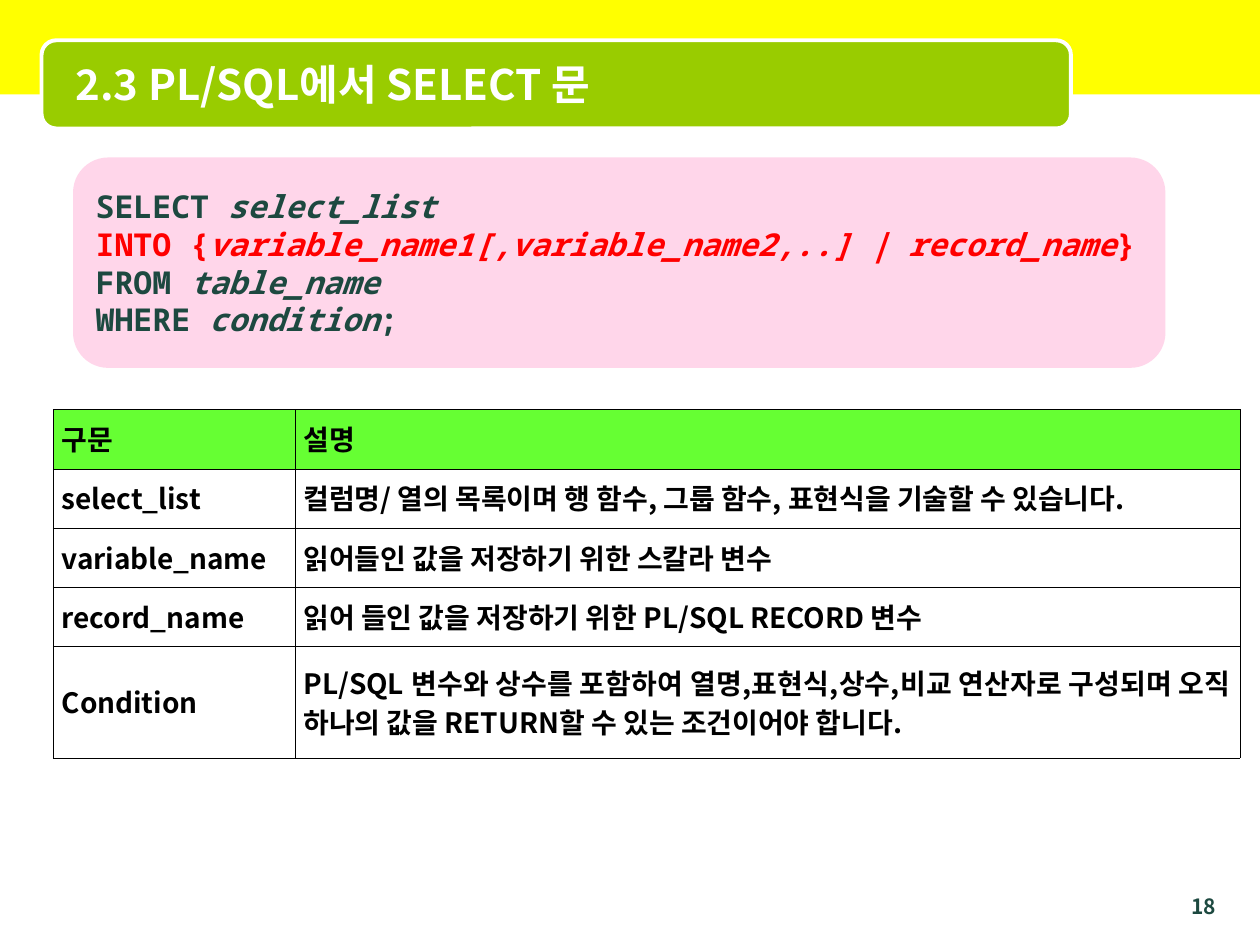
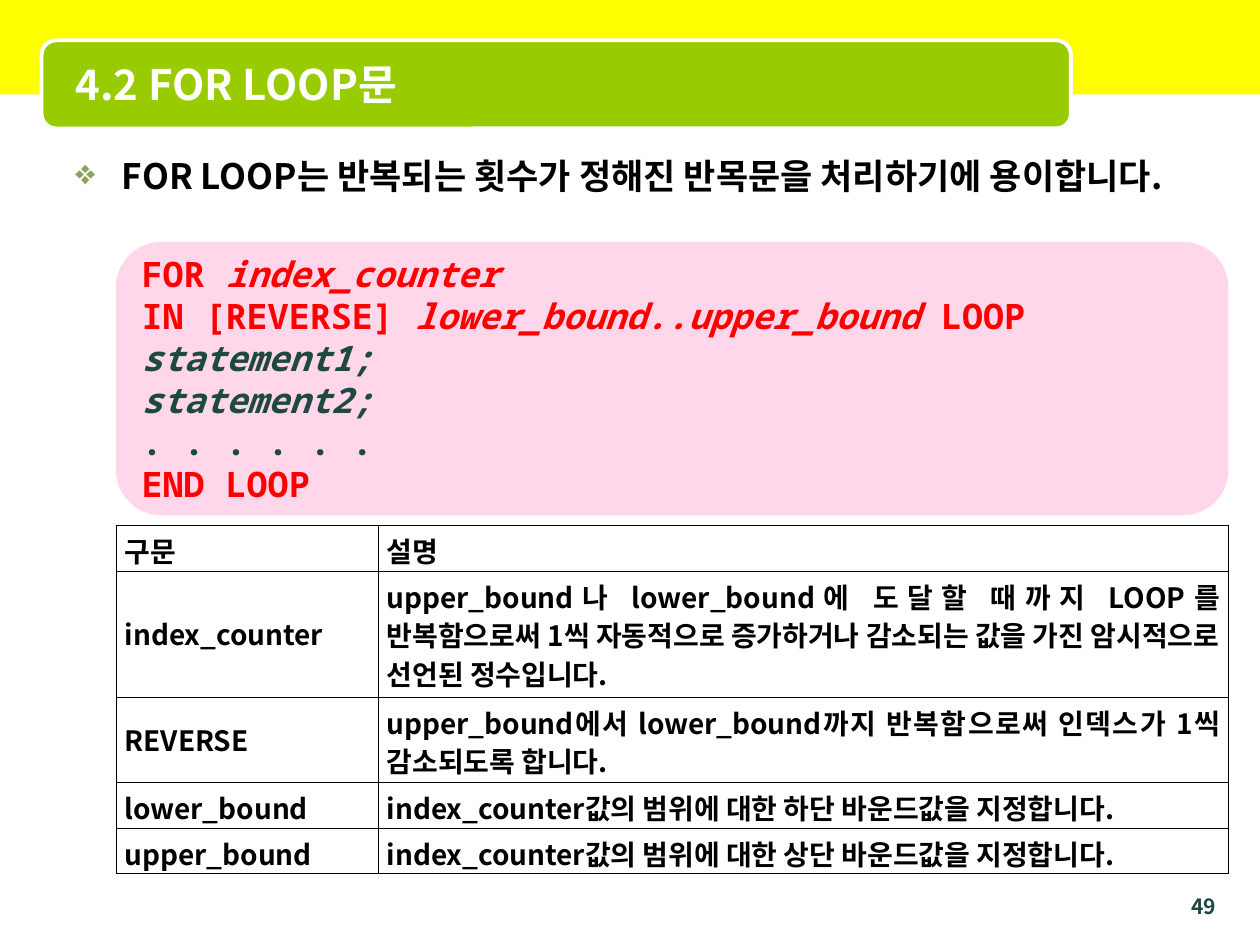
"""Build two lecture slides on PL/SQL: the SELECT statement and the FOR LOOP statement."""
from lxml.etree import SubElement
from pptx import Presentation
from pptx.dml.color import RGBColor
from pptx.enum.shapes import MSO_SHAPE
from pptx.enum.text import MSO_ANCHOR, PP_ALIGN
from pptx.oxml.ns import qn
from pptx.util import Inches, Pt

YELLOW = RGBColor(0xFF, 0xFF, 0x00)
GREEN = RGBColor(0x99, 0xCC, 0x00)
HEADER_GREEN = RGBColor(0x66, 0xFF, 0x33)
PINK = RGBColor(0xFF, 0x99, 0xCC)
DARK_GREEN = RGBColor(0x1D, 0x49, 0x40)
BULLET_GREEN = RGBColor(0x8C, 0xA3, 0x5F)
RED = RGBColor(0xFF, 0x00, 0x00)
WHITE = RGBColor(0xFF, 0xFF, 0xFF)
BLACK = RGBColor(0x00, 0x00, 0x00)
BODY_FONT = "Noto Sans CJK KR"
CODE_FONT = "Noto Sans Mono"

# Each code line is a colour, then pieces that alternate upright and italic.
SLIDES = [
    {
        "title": "2.3 PL/SQL에서 SELECT 문",
        "number": "18",
        "bullet": None,
        "code_box": (0.58, 1.25, 8.67, 1.67),
        "code_size": 18,
        "code": [
            (DARK_GREEN, "SELECT ", "select_list"),
            (RED, "INTO {", "variable_name1[,variable_name2,..] | record_name", "}"),
            (DARK_GREEN, "FROM ", "table_name"),
            (DARK_GREEN, "WHERE ", "condition", ";"),
        ],
        "table_at": (0.42, 3.25),
        "columns": [1.92, 7.5],
        "row_heights": [0.47, 0.47, 0.47, 0.47, 0.89],
        "header_fill": HEADER_GREEN,
        "rows": [
            ("구문", "설명"),
            ("select_list", "컬럼명/ 열의 목록이며 행 함수, 그룹 함수, 표현식을 기술할 수 있습니다."),
            ("variable_name", "읽어들인 값을 저장하기 위한 스칼라 변수"),
            ("record_name", "읽어 들인 값을 저장하기 위한 PL/SQL RECORD 변수"),
            ("Condition", "PL/SQL 변수와 상수를 포함하여 열명,표현식,상수,비교 연산자로 구성되며 "
                          "오직 하나의 값을 RETURN할 수 있는 조건이어야 합니다."),
        ],
    },
    {
        "title": "4.2 FOR LOOP문",
        "number": "49",
        "bullet": "FOR LOOP는 반복되는 횟수가 정해진 반목문을 처리하기에 용이합니다.",
        "code_box": (0.92, 1.92, 8.83, 2.17),
        "code_size": 20,
        "code": [
            (RED, "FOR ", "index_counter"),
            (RED, "IN [REVERSE] ", "lower_bound..upper_bound", " LOOP"),
            (DARK_GREEN, "", "statement1;"),
            (DARK_GREEN, "", "statement2;"),
            (DARK_GREEN, ". . . . . ."),
            (RED, "END LOOP"),
        ],
        "table_at": (0.92, 4.17),
        "columns": [2.08, 6.75],
        "row_heights": [0.36, 1, 0.68, 0.36, 0.36],
        "header_fill": None,
        "rows": [
            ("구문", "설명"),
            ("index_counter", "upper_bound나 lower_bound에 도달할 때까지 LOOP를 반복함으로써 1씩 "
                              "자동적으로 증가하거나 감소되는 값을 가진 암시적으로 선언된 정수입니다."),
            ("REVERSE", "upper_bound에서 lower_bound까지 반복함으로써 인덱스가 1씩 감소되도록 합니다."),
            ("lower_bound", "index_counter값의 범위에 대한 하단 바운드값을 지정합니다."),
            ("upper_bound", "index_counter값의 범위에 대한 상단 바운드값을 지정합니다."),
        ],
    },
]


def format_run(run, size, color, font=BODY_FONT, italic=False):
    run.font.size = Pt(size)
    run.font.name = font
    run.font.bold = True
    run.font.italic = italic
    run.font.color.rgb = color
    SubElement(run._r.get_or_add_rPr(), qn("a:ea"), typeface=font)


def add_box(slide, preset, box, color):
    shape = slide.shapes.add_shape(preset, *map(Inches, box))
    shape.shadow.inherit = False
    shape.fill.solid()
    shape.fill.fore_color.rgb = color
    shape.line.fill.background()
    return shape


def add_text(slide, box, text, size, color, anchor=MSO_ANCHOR.TOP, align=PP_ALIGN.LEFT):
    text_frame = slide.shapes.add_textbox(*map(Inches, box)).text_frame
    text_frame.word_wrap = True
    text_frame.vertical_anchor = anchor
    text_frame.text = text
    paragraph = text_frame.paragraphs[0]
    paragraph.alignment = align
    format_run(paragraph.runs[0], size, color)
    return paragraph


def add_frame(slide, title, number):
    add_box(slide, MSO_SHAPE.RECTANGLE, (0, 0, 10, 0.75), YELLOW)
    banner = add_box(slide, MSO_SHAPE.ROUNDED_RECTANGLE, (0.33, 0.32, 8.17, 0.7), GREEN)
    banner.line.color.rgb = WHITE
    banner.line.width = Pt(2.25)
    add_text(slide, (9.25, 7.04, 0.5, 0.21), number, 12, DARK_GREEN, align=PP_ALIGN.RIGHT)
    add_text(slide, (0.5, 0.35, 7.92, 0.62), title, 24, WHITE, MSO_ANCHOR.MIDDLE)


def add_bullet(slide, text):
    paragraph = add_text(slide, (0.5, 1.18, 9.5, 6.14), text, 20, BLACK)
    properties = paragraph._p.get_or_add_pPr()
    indent = Inches(0.37)
    properties.set("marL", str(indent))
    properties.set("indent", str(-indent))
    bullet_color = SubElement(properties, qn("a:buClr"))
    SubElement(bullet_color, qn("a:srgbClr"), val=str(BULLET_GREEN))
    SubElement(properties, qn("a:buChar"), char="❖")


def add_code(slide, box, lines, size):
    shape = add_box(slide, MSO_SHAPE.ROUNDED_RECTANGLE, box, PINK)
    fill_color = shape._element.spPr.find(qn("a:solidFill"))[0]
    SubElement(fill_color, qn("a:alpha"), val="40000")
    text_frame = shape.text_frame
    text_frame.word_wrap = False
    text_frame.vertical_anchor = MSO_ANCHOR.MIDDLE
    for index, (color, *pieces) in enumerate(lines):
        paragraph = text_frame.add_paragraph() if index else text_frame.paragraphs[0]
        paragraph.alignment = PP_ALIGN.LEFT
        for position, piece in enumerate(pieces):
            if piece:
                run = paragraph.add_run()
                run.text = piece
                format_run(run, size, color, CODE_FONT, italic=position % 2 == 1)


def format_cell(cell, text, fill):
    cell.margin_left = cell.margin_right = Inches(0.07)
    cell.margin_top = cell.margin_bottom = Inches(0.05)
    cell.vertical_anchor = MSO_ANCHOR.MIDDLE
    cell.text_frame.text = text
    paragraph = cell.text_frame.paragraphs[0]
    paragraph.alignment = PP_ALIGN.JUSTIFY
    paragraph.line_spacing = 0.96
    format_run(paragraph.runs[0], 16, BLACK)
    properties = cell._tc.get_or_add_tcPr()
    for side in ("a:lnL", "a:lnR", "a:lnT", "a:lnB"):
        border = SubElement(properties, qn(side), w=str(Pt(0.11)))
        border_fill = SubElement(border, qn("a:solidFill"))
        SubElement(border_fill, qn("a:srgbClr"), val=str(BLACK))
    if fill is None:
        cell.fill.background()
    else:
        cell.fill.solid()
        cell.fill.fore_color.rgb = fill


def add_syntax_table(slide, position, widths, heights, rows, header_fill):
    box = (*position, sum(widths), sum(heights))
    table = slide.shapes.add_table(len(rows), len(widths), *map(Inches, box)).table
    for column, width in zip(table.columns, widths):
        column.width = Inches(width)
    for row_index, (height, texts) in enumerate(zip(heights, rows)):
        table.rows[row_index].height = Inches(height)
        fill = None if row_index else header_fill
        for cell, text in zip(table.rows[row_index].cells, texts):
            format_cell(cell, text, fill)


def main():
    presentation = Presentation()
    presentation.slide_width = Inches(10)
    presentation.slide_height = Inches(7.5)
    for content in SLIDES:
        slide = presentation.slides.add_slide(presentation.slide_layouts[6])
        add_frame(slide, content["title"], content["number"])
        if content["bullet"]:
            add_bullet(slide, content["bullet"])
        add_code(slide, content["code_box"], content["code"], content["code_size"])
        add_syntax_table(slide, content["table_at"], content["columns"],
                         content["row_heights"], content["rows"], content["header_fill"])
    presentation.save("out.pptx")


if __name__ == "__main__":
    main()
